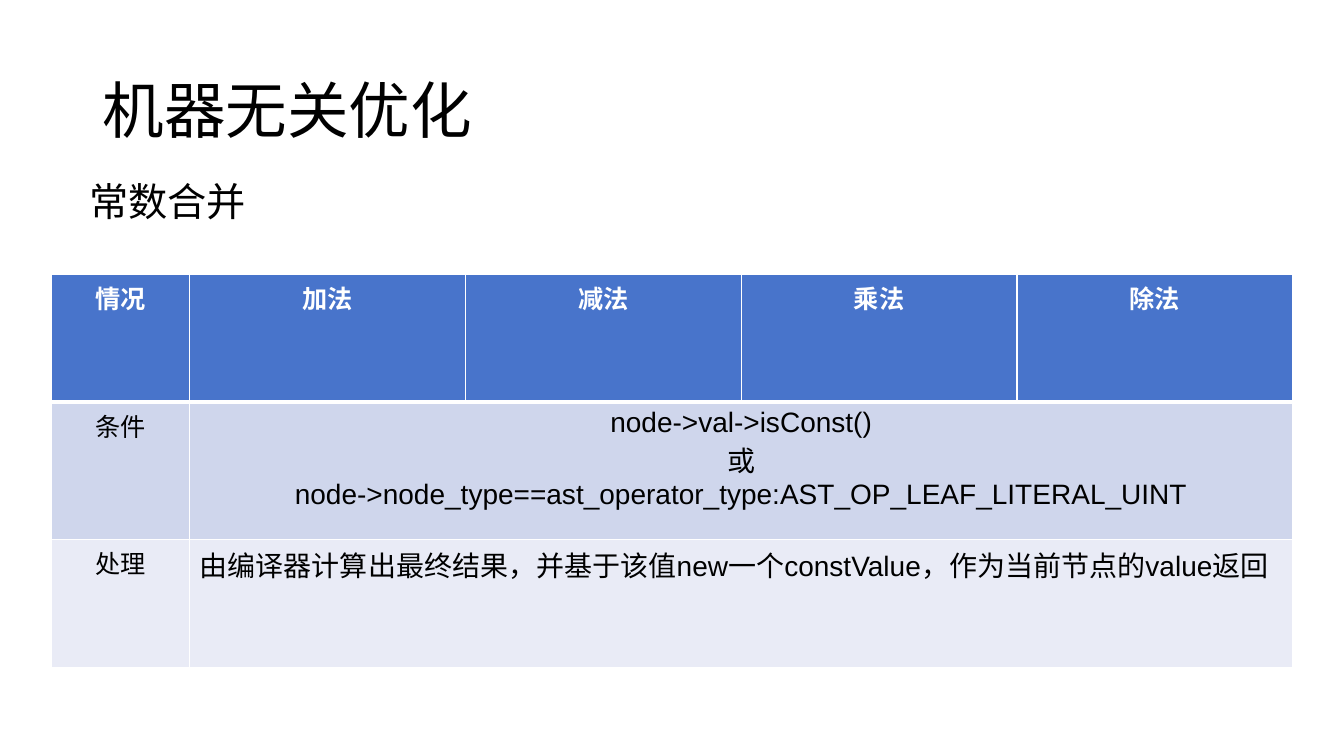
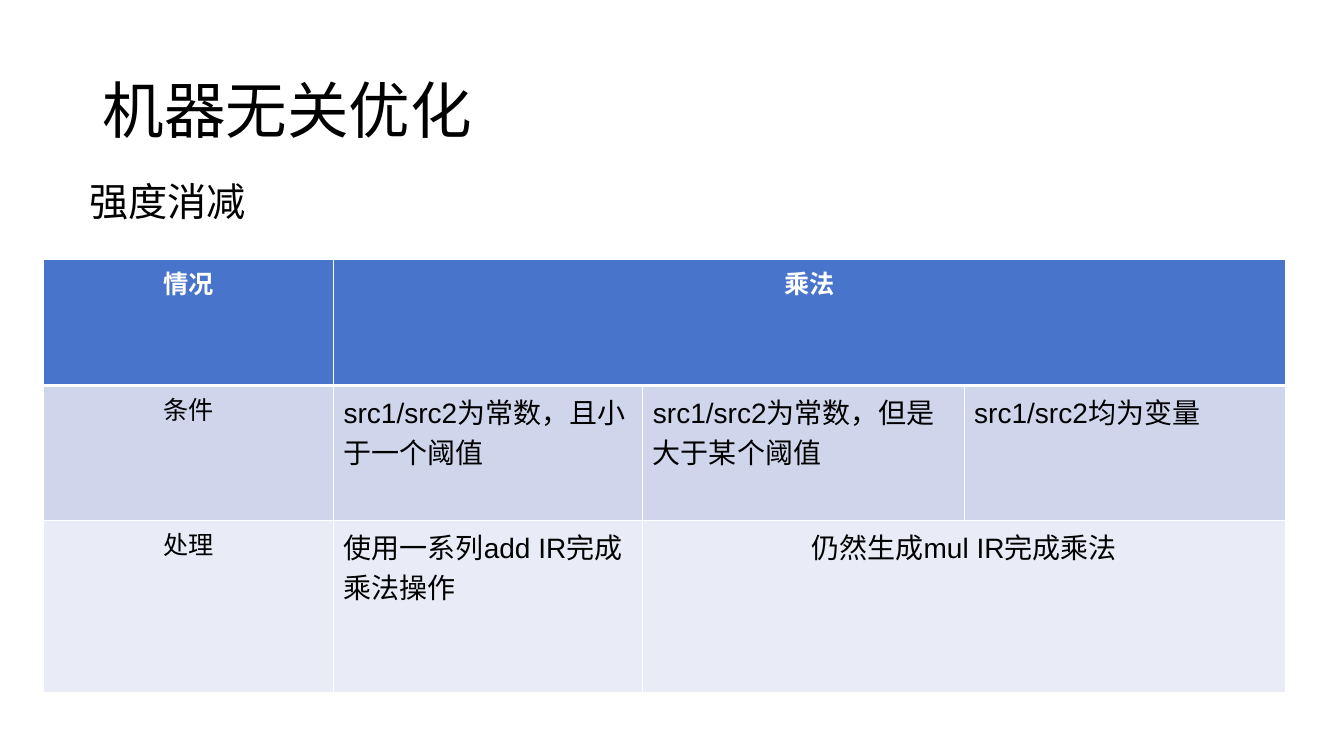
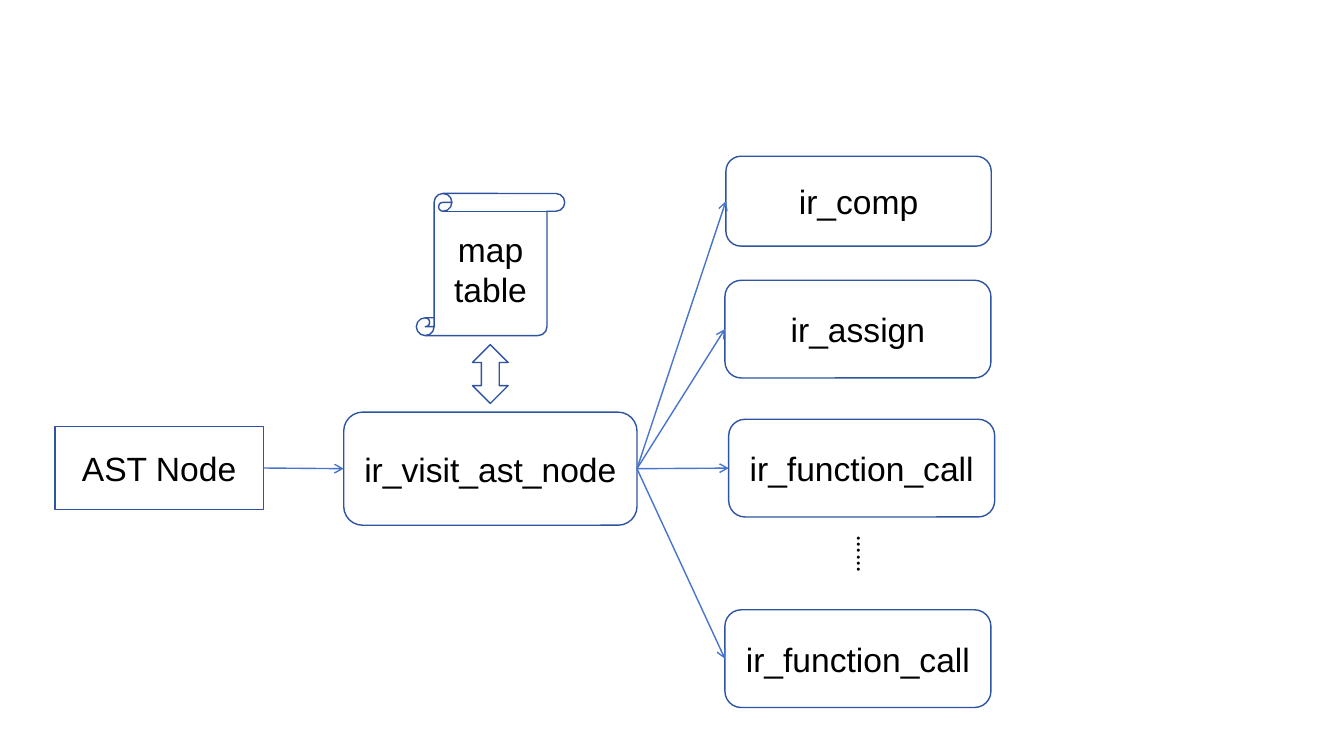
"""Build three slides on compiler optimisation and IR generation."""
from dataclasses import dataclass

from lxml.etree import SubElement
from pptx import Presentation
from pptx.dml.color import RGBColor
from pptx.enum.shapes import MSO_CONNECTOR, MSO_SHAPE
from pptx.enum.text import MSO_ANCHOR, PP_ALIGN
from pptx.oxml.ns import qn
from pptx.util import Pt


@dataclass(frozen=True)
class Theme:
    black: str = "000000"
    white: str = "FFFFFF"
    accent: str = "4874CB"
    outline: str = "2E54A1"
    bands: tuple = ("4874CB", "CFD6EC", "E9EBF6")
    heading_font: str = "Calibri"
    body_font: str = "Arial"
    title_size: float = 44
    subtitle_size: float = 28
    node_size: float = 24
    body_size: float = 20
    label_size: float = 18
    thin: float = 1
    thick: float = 3


THEME = Theme()
LEFT, CENTER = PP_ALIGN.LEFT, PP_ALIGN.CENTER
TITLE = "机器无关优化"
TITLE_BOX = (66, 28.8, 828, 104.4)
SUBTITLE_BOX = (56.9, 123.1, 450, 41)

TABLE_SLIDES = [
    {
        "subtitle": "常数合并",
        "origin": (36.9, 196),
        "columns": [98.6] + [197] * 4,
        "heights": [91.4, 97.9, 91.4],
        "rows": [
            [("情况", 1, CENTER), ("加法", 1, CENTER), ("减法", 1, CENTER),
             ("乘法", 1, CENTER), ("除法", 1, CENTER)],
            [("条件", 1, CENTER),
             ("node->val->isConst()\n或\n"
              "node->node_type==ast_operator_type:AST_OP_LEAF_LITERAL_UINT", 4, CENTER)],
            [("处理", 1, CENTER),
             ("由编译器计算出最终结果，并基于该值new一个constValue，"
              "作为当前节点的value返回", 4, LEFT)],
        ],
    },
    {
        "subtitle": "强度消减",
        "origin": (31.2, 185.4),
        "columns": [207, 221, 229.5, 229.5],
        "heights": [90, 96.5, 123],
        "rows": [
            [("情况", 1, CENTER), ("乘法", 3, CENTER)],
            [("条件", 1, CENTER), ("src1/src2为常数，且小于一个阈值", 1, LEFT),
             ("src1/src2为常数，但是大于某个阈值", 1, LEFT),
             ("src1/src2均为变量", 1, LEFT)],
            [("处理", 1, CENTER), ("使用一系列add IR完成乘法操作", 1, LEFT),
             ("仍然生成mul IR完成乘法", 2, CENTER)],
        ],
    },
]

NODES = {
    "map": (MSO_SHAPE.VERTICAL_SCROLL, "map\ntable", (297.4, 138.2, 106, 101.5)),
    "ast": (MSO_SHAPE.RECTANGLE, "AST Node", (39.2, 304.8, 149, 59)),
    "visit": (MSO_SHAPE.ROUNDED_RECTANGLE, "ir_visit_ast_node", (245.5, 294.4, 209.5, 80.8)),
    "comp": (MSO_SHAPE.ROUNDED_RECTANGLE, "ir_comp", (518.5, 111.6, 189.5, 64.2)),
    "assign": (MSO_SHAPE.ROUNDED_RECTANGLE, "ir_assign", (517.8, 200.2, 190, 69.8)),
    "call": (MSO_SHAPE.ROUNDED_RECTANGLE, "ir_function_call", (520.5, 299.5, 190, 69.8)),
    "last": (MSO_SHAPE.ROUNDED_RECTANGLE, "ir_function_call", (517.8, 435.6, 190, 69.8)),
    "exchange": (MSO_SHAPE.UP_DOWN_ARROW, "", (337.5, 246.2, 25.5, 42)),
}
LINKS = [("ast", "visit")] + [("visit", name) for name in ("comp", "assign", "call", "last")]
DOTS_BOX = (594.7, 385.2, 49, 29)
LEFT_SITE, RIGHT_SITE = 1, 3


def points(values):
    return [Pt(value) for value in values]


def color(value):
    return RGBColor.from_string(value)


def write(frame, text, font, size, ink=THEME.black, bold=False, align=LEFT, spacing=None):
    for index, line in enumerate(text.split("\n")):
        paragraph = frame.add_paragraph() if index else frame.paragraphs[0]
        paragraph.alignment = align
        if spacing:
            paragraph.line_spacing = spacing
        run = paragraph.add_run()
        run.text = line
        run.font.name, run.font.size, run.font.bold = font, Pt(size), bold
        run.font.color.rgb = color(ink)


def add_text(slide, box, text, font, size):
    shape = slide.shapes.add_textbox(*points(box))
    shape.text_frame.word_wrap = True
    write(shape.text_frame, text, font, size)
    return shape


def set_borders(cell, bottom):
    properties = cell._tc.get_or_add_tcPr()
    widths = {"lnL": THEME.thin, "lnR": THEME.thin, "lnT": THEME.thin, "lnB": bottom}
    for side, width in widths.items():
        line = SubElement(properties, qn(f"a:{side}"), w=str(Pt(width)))
        fill = SubElement(line, qn("a:solidFill"))
        SubElement(fill, qn("a:srgbClr"), val=THEME.white)


def add_grid(slide, content):
    columns, heights = content["columns"], content["heights"]
    table = slide.shapes.add_table(
        len(heights), len(columns),
        *points((*content["origin"], sum(columns), sum(heights)))).table
    for column, width in zip(table.columns, columns):
        column.width = Pt(width)
    for row, height in zip(table.rows, heights):
        row.height = Pt(height)
    for row_index, entries in enumerate(content["rows"]):
        header = row_index == 0
        for column_index in range(len(columns)):
            cell = table.cell(row_index, column_index)
            set_borders(cell, THEME.thick if header else THEME.thin)
            cell.fill.solid()
            cell.fill.fore_color.rgb = color(THEME.bands[row_index])
        start = 0
        for text, span, align in entries:
            cell = table.cell(row_index, start)
            if span > 1:
                cell.merge(table.cell(row_index, start + span - 1))
            label = header or start == 0
            write(cell.text_frame, text,
                  THEME.heading_font if label else THEME.body_font,
                  THEME.label_size if label else THEME.body_size,
                  THEME.white if header else THEME.black, header, align)
            start += span


def add_table_slide(presentation, content):
    slide = presentation.slides.add_slide(presentation.slide_layouts[5])
    title = slide.shapes.title
    title.left, title.top, title.width, title.height = points(TITLE_BOX)
    title.text_frame.vertical_anchor = MSO_ANCHOR.MIDDLE
    write(title.text_frame, TITLE, THEME.heading_font, THEME.title_size, spacing=0.9)
    add_text(slide, SUBTITLE_BOX, content["subtitle"], THEME.body_font, THEME.subtitle_size)
    add_grid(slide, content)


def add_node(slide, preset, text, box):
    shape = slide.shapes.add_shape(preset, *points(box))
    shape.shadow.inherit = False
    shape.fill.background()
    shape.line.color.rgb = color(THEME.outline)
    shape.line.width = Pt(THEME.thin)
    if text:
        shape.text_frame.vertical_anchor = MSO_ANCHOR.MIDDLE
        write(shape.text_frame, text, THEME.body_font, THEME.node_size, align=CENTER)
    return shape


def add_arrow(slide, source, target):
    connector = slide.shapes.add_connector(MSO_CONNECTOR.STRAIGHT, 0, 0, 0, 0)
    connector.begin_connect(source, RIGHT_SITE)
    connector.end_connect(target, LEFT_SITE)
    connector.line.color.rgb = color(THEME.accent)
    connector.line.width = Pt(THEME.thin)
    SubElement(connector.line._get_or_add_ln(), qn("a:tailEnd"), type="arrow")
    SubElement(connector._element.spPr, qn("a:effectLst"))


def add_flow_slide(presentation):
    slide = presentation.slides.add_slide(presentation.slide_layouts[6])
    nodes = {name: add_node(slide, *node) for name, node in NODES.items()}
    dots = add_text(slide, DOTS_BOX, "......", THEME.heading_font, THEME.label_size)
    dots.rotation = 90
    for source, target in LINKS:
        add_arrow(slide, nodes[source], nodes[target])


def main():
    presentation = Presentation()
    presentation.slide_width, presentation.slide_height = Pt(960), Pt(540)
    for content in TABLE_SLIDES:
        add_table_slide(presentation, content)
    add_flow_slide(presentation)
    presentation.save("out.pptx")


if __name__ == "__main__":
    main()
